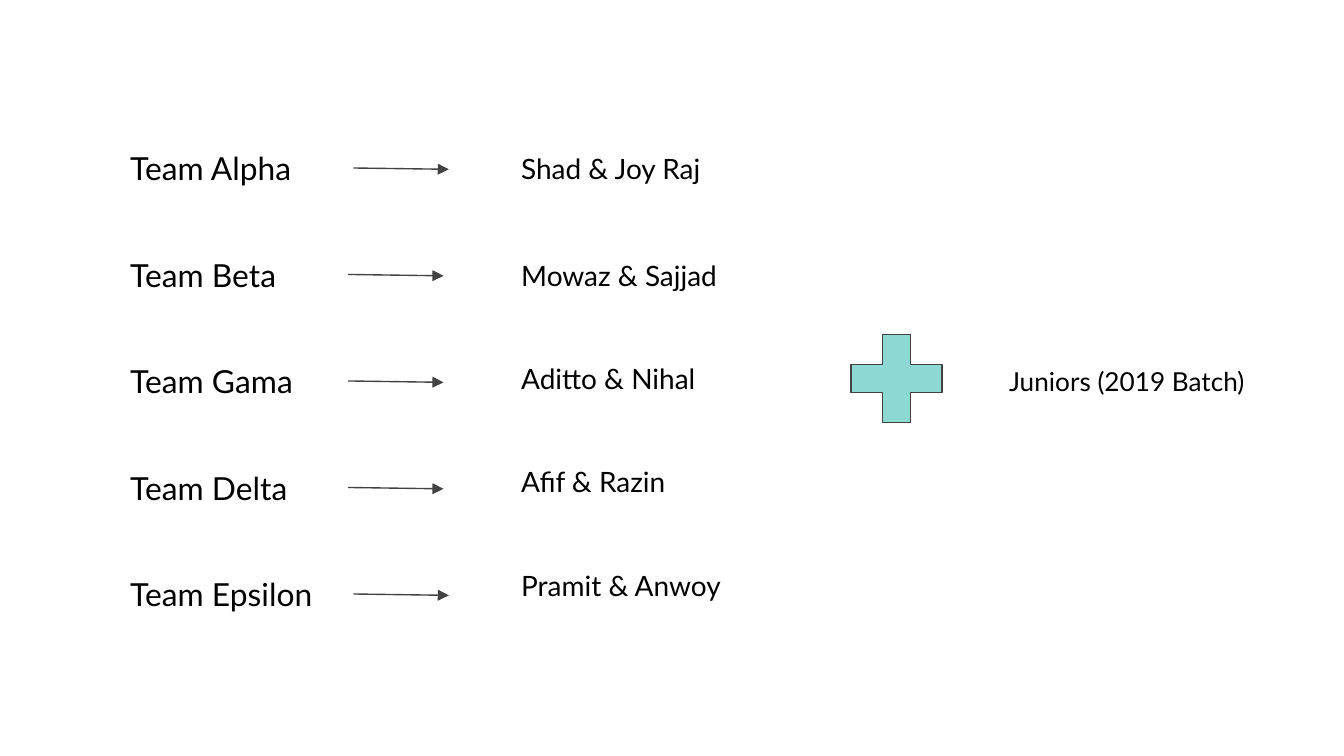
import pptx
import pptx.dml.color
import pptx.enum.shapes
import pptx.enum.text
import pptx.oxml.ns
import pptx.util
from lxml import etree
from pptx.util import Inches

FONT = "Lato"
INK, LINE, TEAL, WHITE = "000000", "424242", "8DD8D3", "FFFFFF"


def rgb(value):
    return pptx.dml.color.RGBColor.from_string(value)


class Canvas:
    """Style and current slide, with one method per kind of element."""

    def __init__(self, s):
        self.s = s
        s.background.fill.solid()
        s.background.fill.fore_color.rgb = rgb(WHITE)

    def outline(self, line):
        line.color.rgb = rgb(LINE)
        line.width = pptx.util.Pt(0.75)

    def text(self, x, y, w, h, words, size):
        sp = self.s.shapes.add_textbox(Inches(x), Inches(y), Inches(w), Inches(h))
        tf = sp.text_frame
        tf.word_wrap = True
        tf.auto_size = pptx.enum.text.MSO_AUTO_SIZE.SHAPE_TO_FIT_TEXT
        tf.margin_left = tf.margin_right = Inches(0.1)
        tf.margin_top = tf.margin_bottom = Inches(0.1)
        p = tf.paragraphs[0]
        p.text = words
        p.font.name = FONT
        p.font.size = pptx.util.Pt(size)
        p.font.color.rgb = rgb(INK)

    def arrow(self, x1, y1, x2, y2):
        cx = self.s.shapes.add_connector(
            pptx.enum.shapes.MSO_CONNECTOR.STRAIGHT,
            Inches(x1), Inches(y1), Inches(x2), Inches(y2))
        self.outline(cx.line)
        ln = cx.line._get_or_add_ln()
        etree.SubElement(ln, pptx.oxml.ns.qn("a:tailEnd"), type="triangle")
        etree.SubElement(cx._element.spPr, pptx.oxml.ns.qn("a:effectLst"))

    def plus(self, x, y, w, h):
        sp = self.s.shapes.add_shape(
            pptx.enum.shapes.MSO_SHAPE.MATH_PLUS,
            Inches(x), Inches(y), Inches(w), Inches(h))
        sp.adjustments[0] = 0.235
        sp.shadow.inherit = False
        sp.fill.solid()
        sp.fill.fore_color.rgb = rgb(TEAL)
        self.outline(sp.line)


# Team, arrow start, members, top of the members' box
ROWS = [
    ("Team Alpha", 2.63, "Shad & Joy Raj", 1.03),
    ("Team Beta", 2.59, "Mowaz & Sajjad", 1.82),
    ("Team Gama", 2.59, "Aditto & Nihal", 2.59),
    ("Team Delta", 2.59, "Afif & Razin", 3.36),
    ("Team Epsilon", 2.63, "Pramit & Anwoy", 4.13),
]
TOP, BOTTOM = 1.01, 4.18


def main():
    prs = pptx.Presentation()
    prs.slide_width = Inches(10)
    prs.slide_height = Inches(10 * 9 / 16)
    canvas = Canvas(prs.slides.add_slide(prs.slide_layouts[6]))

    pitch = (BOTTOM - TOP) / (len(ROWS) - 1)
    for i, (team, arrow_x, members, members_y) in enumerate(ROWS):
        y = TOP + i * pitch
        canvas.text(0.87, y, 1.72, 0.49, team, 17)
        canvas.arrow(arrow_x, y + 0.24, arrow_x + 0.71, y + 0.25)
        canvas.text(3.78, members_y, 2.24, 0.45, members, 15)

    canvas.plus(6.21, 2.37, 0.92, 0.89)
    canvas.text(7.41, 2.62, 2.34, 0.44, "Juniors (2019 Batch)", 14)
    prs.save("out.pptx")


if __name__ == "__main__":
    main()
